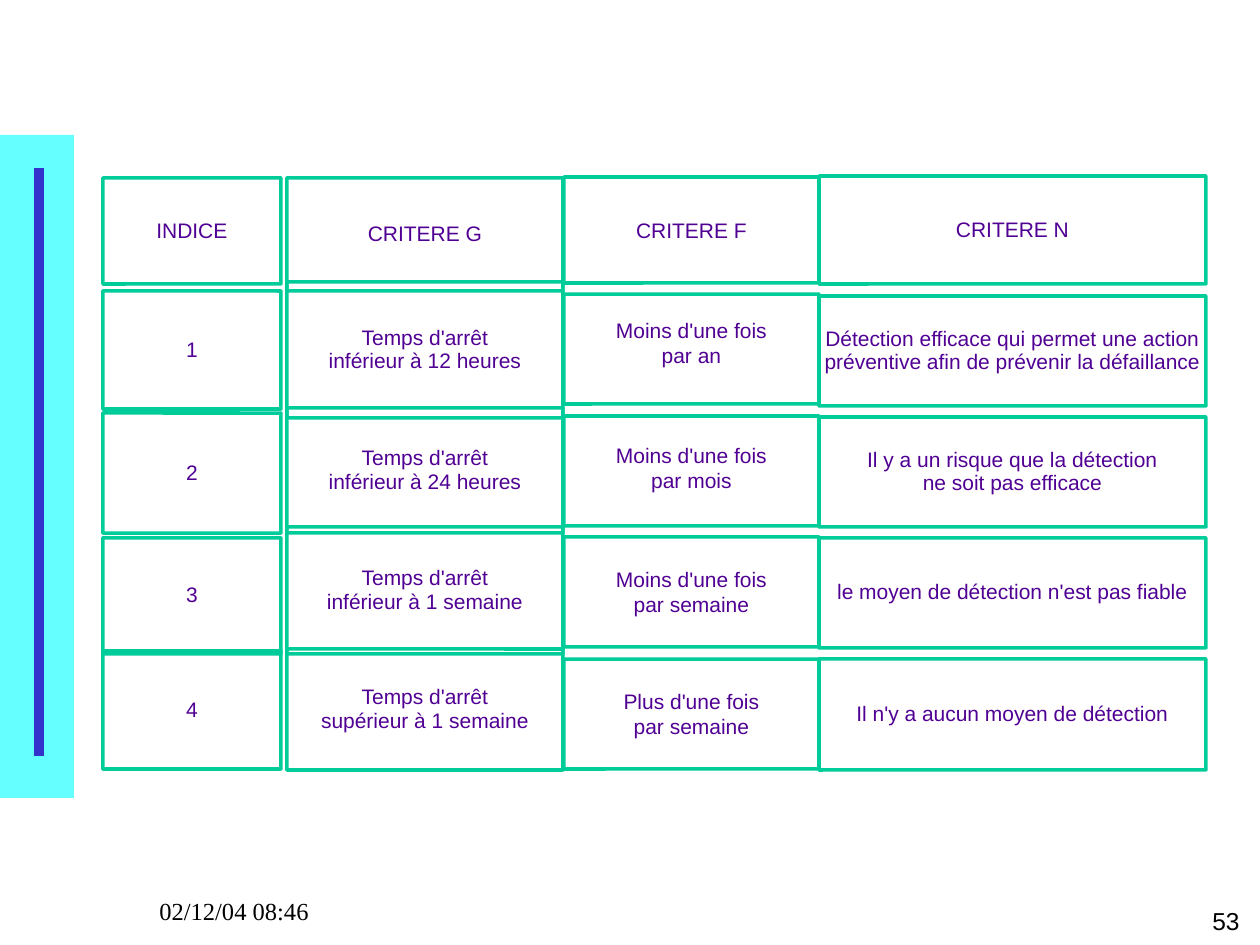
from lxml.etree import SubElement
from pptx import Presentation
from pptx.dml.color import RGBColor as RGB
from pptx.enum.shapes import MSO_CONNECTOR as CONN, MSO_SHAPE as SHAPE
from pptx.enum.text import MSO_ANCHOR as ANCHOR, PP_ALIGN as ALIGN
from pptx.oxml.ns import qn
from pptx.util import Pt

PX = 914400 / 126
COLORS = {
    "panel": "66FFFF",
    "bar": "3333CC",
    "border": "00CC99",
    "cell": "500093",
    "footer": "000000",
}


def px(*values):
    return [round(v * PX) for v in values]


def write(tf, text, size, font, color, align, spacing):
    tf.word_wrap = True
    for i, line in enumerate(text.split("\n")):
        p = tf.paragraphs[0] if i == 0 else tf.add_paragraph()
        p.text = line
        p.alignment = align
        p.line_spacing = spacing
        for r in p.runs:
            r.font.size = Pt(size)
            r.font.name = font
            r.font.color.rgb = RGB.from_string(COLORS[color])
        for br in p._p.findall(qn("a:br")):
            SubElement(br, qn("a:rPr"), sz=str(size * 100))


prs = Presentation()
prs.slide_width, prs.slide_height = px(1260, 945)
s = prs.slides.add_slide(prs.slide_layouts[6])

panel = s.shapes.add_shape(SHAPE.RECTANGLE, *px(0, 135, 74, 663))
panel.shadow.inherit = False
panel.fill.solid()
panel.fill.fore_color.rgb = RGB.from_string(COLORS["panel"])
panel.line.fill.background()

bar = s.shapes.add_connector(CONN.STRAIGHT, *px(39, 168, 39, 756))
bar.line.color.rgb = RGB.from_string(COLORS["bar"])
bar.line.width = Pt(6)
SubElement(bar._element.spPr, qn("a:effectLst"))

footers = [
    ("53", (990, 902, 262, 40), "Arial", ALIGN.RIGHT),
    ("02/12/04 08:46", (147, 892, 262, 40), "Times New Roman", ALIGN.LEFT),
]
for text, box, font, align in footers:
    tb = s.shapes.add_textbox(*px(*box))
    write(tb.text_frame, text, 14, font, "footer", align, 0.94)

# left, width, line spacing, then one (top, height, text lift, text) per row
columns = [
    (103, 178, 0.93, [
        (178, 106, 0, "INDICE"),
        (291, 118, 0, "1"),
        (413, 120, 0, "2"),
        (538, 116, 0, "3"),
        (651, 118, 0, "4"),
    ]),
    (287, 276, 0.93, [
        (178, 113, 0, "CRITERE G"),
        (282, 136, 0, "Temps d'arrêt\vinférieur à 12 heures"),
        (408, 125, 0, "Temps d'arrêt\vinférieur à 24 heures"),
        (527, 127, 0, "Temps d'arrêt\vinférieur à 1 semaine"),
        (649, 121, 0, "Temps d'arrêt\vsupérieur à 1 semaine"),
    ]),
    (564, 255, 1.0, [
        (177, 106, 0, "CRITERE F"),
        (294, 110, 6, "Moins d'une fois\vpar an"),
        (416, 110, 3, "Moins d'une fois\vpar mois"),
        (537, 110, 0, "Moins d'une fois\vpar semaine"),
        (659, 110, 0, "Plus d'une fois\vpar semaine"),
    ]),
    (819, 387, 0.93, [
        (176, 108, 0, "CRITERE N"),
        (296, 110, 0, "Détection efficace qui permet une action\n"
                      "préventive afin de prévenir la défaillance"),
        (417, 110, 0, "Il y a un risque que la détection\vne soit pas efficace"),
        (538, 110, 0, "le moyen de détection n'est pas fiable"),
        (659, 111, 0, "Il n'y a aucun moyen de détection"),
    ]),
]
for left, width, spacing, rows in columns:
    for top, height, lift, text in rows:
        sp = s.shapes.add_shape(SHAPE.ROUNDED_RECTANGLE, *px(left, top, width, height))
        sp.adjustments[0] = 0.002
        sp.shadow.inherit = False
        sp.fill.background()
        sp.line.color.rgb = RGB.from_string(COLORS["border"])
        sp.line.width = Pt(2)
        tf = sp.text_frame
        tf.vertical_anchor = ANCHOR.MIDDLE
        tf.margin_left, tf.margin_right, tf.margin_top = px(4, 4, 3)
        tf.margin_bottom = px(3 + 2 * lift)[0]
        write(tf, text, 12, "Arial", "cell", ALIGN.CENTER, spacing)

prs.save("out.pptx")
